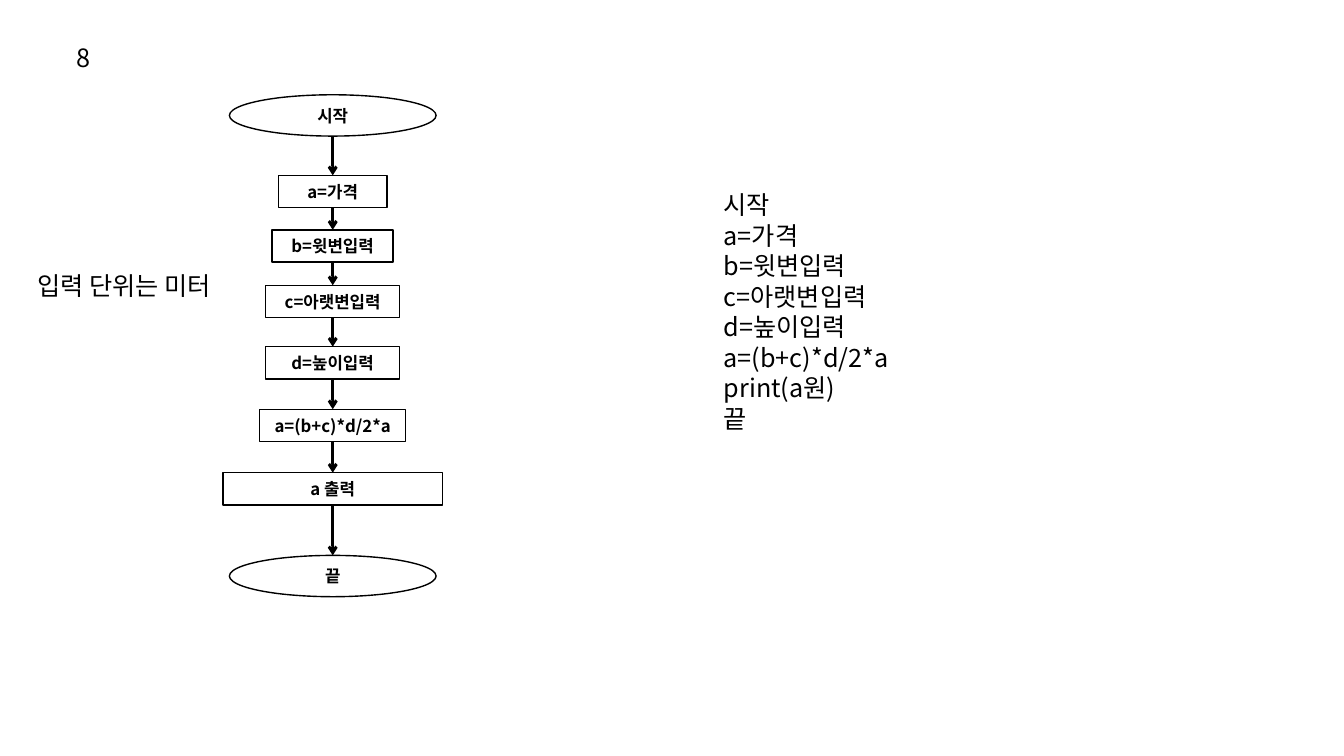
from lxml import etree
from pptx import Presentation, util as u
from pptx.dml.color import RGBColor
from pptx.enum import shapes, text
from pptx.oxml.ns import qn

COLORS = {"ink": "000000"}
FONT = "Noto Sans CJK KR"
OVAL = shapes.MSO_SHAPE.OVAL
PROCESS = shapes.MSO_SHAPE.FLOWCHART_PROCESS

# Label, shape, top offset, width, height; all steps share one centre line
STEPS = [
    ("시작", OVAL, 0, 2.05, 0.41),
    ("a=가격", PROCESS, 0.8, 1.08, 0.32),
    ("b=윗변입력", PROCESS, 1.34, 1.2, 0.32),
    ("c=아랫변입력", PROCESS, 1.89, 1.33, 0.32),
    ("d=높이입력", PROCESS, 2.5, 1.33, 0.32),
    ("a=(b+c)*d/2*a", PROCESS, 3.12, 1.45, 0.32),
    ("a 출력", PROCESS, 3.75, 2.18, 0.32),
    ("끝", OVAL, 4.57, 2.05, 0.41),
]
PSEUDOCODE = ["시작", "a=가격", "b=윗변입력", "c=아랫변입력", "d=높이입력",
              "a=(b+c)*d/2*a", "print(a원)", "끝"]


def color(name):
    return RGBColor.from_string(COLORS[name])


def add_run(p, label, size, bold=False):
    r = p.add_run()
    r.text = label
    r.font.size = u.Pt(size)
    r.font.bold = bold
    r.font.name = FONT
    r.font.color.rgb = color("ink")
    etree.SubElement(r.font._element, qn("a:ea")).set("typeface", FONT)


def add_text(s, left, top, width, height, lines):
    box = s.shapes.add_textbox(*map(u.Inches, (left, top, width, height)))
    tf = box.text_frame
    tf.word_wrap = True
    for i, line in enumerate(lines):
        p = tf.paragraphs[0] if i == 0 else tf.add_paragraph()
        p.line_spacing = u.Pt(21.8)
        add_run(p, line, 18)


def add_step(s, label, kind, center, top, width, height):
    sp = s.shapes.add_shape(
        kind, *map(u.Inches, (center - width / 2, top, width, height)))
    sp.shadow.inherit = False
    sp.fill.background()
    sp.line.color.rgb = color("ink")
    sp.line.width = u.Pt(1)
    tf = sp.text_frame
    tf.word_wrap = True
    tf.margin_top = tf.margin_bottom = 0
    tf.vertical_anchor = text.MSO_ANCHOR.MIDDLE
    p = tf.paragraphs[0]
    p.alignment = text.PP_ALIGN.CENTER
    add_run(p, label, 12, bold=True)
    return sp


def add_arrow(s, center, start, end):
    x = u.Inches(center)
    line = s.shapes.add_connector(
        shapes.MSO_CONNECTOR.STRAIGHT, x, start.top + start.height, x, end.top)
    line.line.color.rgb = color("ink")
    line.line.width = u.Pt(2)
    ln = line._element.spPr.find(qn("a:ln"))
    etree.SubElement(ln, qn("a:tailEnd")).set("type", "arrow")
    etree.SubElement(line._element.spPr, qn("a:effectLst"))


def add_flowchart(s, center, top):
    steps = [add_step(s, label, kind, center, top + offset, width, height)
             for label, kind, offset, width, height in STEPS]
    for start, end in zip(steps, steps[1:]):
        add_arrow(s, center, start, end)


def main():
    prs = Presentation()
    prs.slide_width, prs.slide_height = u.Inches(13.33), u.Inches(7.5)
    s = prs.slides.add_slide(prs.slide_layouts[6])

    # Problem number and unit note
    add_text(s, 0.66, 0.37, 0.43, 0.4, ["8"])
    add_text(s, 0.27, 2.63, 2.28, 0.4, ["입력 단위는 미터"])

    # Flowchart and matching pseudocode
    add_flowchart(s, center=3.3, top=0.94)
    add_text(s, 7.08, 1.83, 3.91, 2.52, PSEUDOCODE)
    prs.save("out.pptx")


if __name__ == "__main__":
    main()
